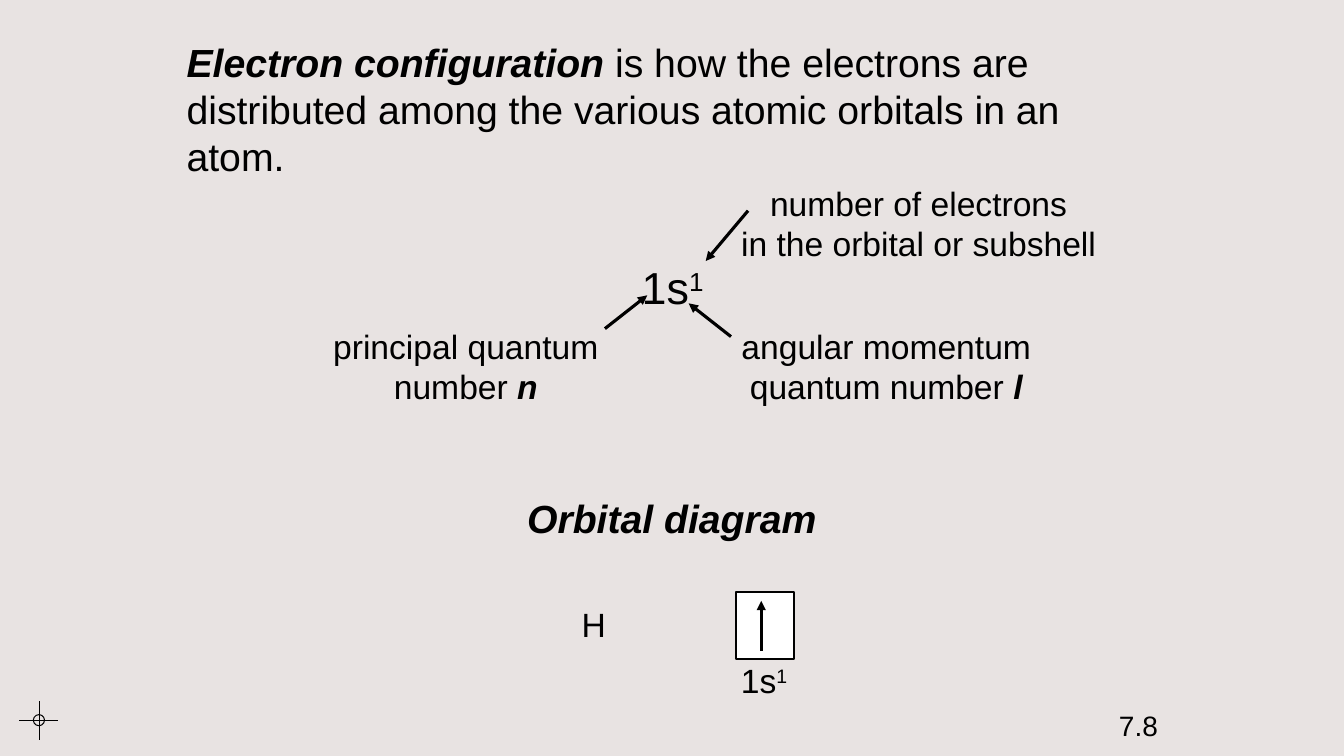
"""Build the electron configuration slide with its labelled orbital notation."""
import pptx
import pptx.dml.color
import pptx.enum.dml
import pptx.enum.shapes
import pptx.enum.text
import pptx.oxml
import pptx.oxml.ns
import pptx.util

THEME = {
    "font": "Arial",
    "ink": pptx.dml.color.RGBColor.from_string("000000"),
    "paper": pptx.dml.color.RGBColor.from_string("E8E3E2"),
    "white": pptx.dml.color.RGBColor.from_string("FFFFFF"),
    "notation": 32, "heading": 28, "label": 24, "number": 20,
    "hairline": 0.75, "frame": 1.5, "arrow": 2.25,
}
LEFT = pptx.enum.text.PP_ALIGN.LEFT
CENTER = pptx.enum.text.PP_ALIGN.CENTER
SHAPE = pptx.enum.shapes.MSO_SHAPE

deck = pptx.Presentation()
deck.slide_width = pptx.util.Inches(13.33)
deck.slide_height = pptx.util.Inches(7.5)
page = deck.slides.add_slide(deck.slide_layouts[5])
page.background.fill.solid()
page.background.fill.fore_color.rgb = THEME["paper"]


def place(left, top, width, height):
    """Turn percentages of the slide into lengths."""
    sizes = (deck.slide_width, deck.slide_height) * 2
    return [round(size * share / 100) for size, share in zip(sizes, (left, top, width, height))]


def write(box, lines, size, align, wrap=False):
    """Fill a box with lines of (text, style) runs."""
    frame = box.text_frame
    frame.word_wrap = wrap
    frame.auto_size = pptx.enum.text.MSO_AUTO_SIZE.SHAPE_TO_FIT_TEXT
    frame.vertical_anchor = pptx.enum.text.MSO_ANCHOR.TOP
    for index, runs in enumerate(lines):
        para = frame.add_paragraph() if index else frame.paragraphs[0]
        para.alignment = align
        for text, style in runs:
            span = para.add_run()
            span.text = text
            span.font.name = THEME["font"]
            span.font.size = pptx.util.Pt(THEME[size])
            span.font.color.rgb = THEME["ink"]
            span.font.bold = span.font.italic = style == "strong"
            if style == "super":
                span.font._element.set("baseline", "30000")


definition = page.shapes.title
definition.left, definition.top, definition.width, definition.height = place(13.13, 4.4, 73.74, 20)
write(definition, [[
    ("Electron configuration", "strong"),
    (" is how the electrons are distributed among the various atomic orbitals in an atom.", ""),
]], "heading", LEFT, wrap=True)

hydrogen_notation = [[("1s", ""), ("1", "super")]]
labels = [
    ((46.89, 33.73, 6.3, 8.53), hydrogen_notation, "notation", CENTER),
    ((23.93, 42.4, 21.46, 12.13),
     [[("principal quantum", "")], [("number ", ""), ("n", "strong")]], "label", CENTER),
    ((54.31, 42.4, 23.26, 12.13),
     [[("angular momentum", "")], [("quantum number ", ""), ("l", "strong")]], "label", CENTER),
    ((54.24, 23.47, 28.21, 12.13),
     [[("number of electrons", "")], [("in the orbital or subshell", "")]], "label", CENTER),
    ((38.48, 64.67, 23.11, 7.6), [[("Orbital diagram", "strong")]], "heading", LEFT),
    ((42.54, 79.2, 3.3, 6.67), [[("H", "")]], "label", LEFT),
    ((54.39, 86.67, 5.1, 6.67), hydrogen_notation, "label", LEFT),
    ((82.52, 93.07, 4.43, 5.73), [[("7.8", "")]], "number", LEFT),
]
for area, lines, size, align in labels:
    write(page.shapes.add_textbox(*place(*area)), lines, size, align)

outlines = [
    (SHAPE.RECTANGLE, (54.76, 78.27, 4.35, 8.93), "frame"),
    (SHAPE.OVAL, (2.48, 94.53, 0.83, 1.47), "hairline"),
]
for kind, area, weight in outlines:
    outline = page.shapes.add_shape(kind, *place(*area))
    outline.shadow.inherit = False
    outline.line.color.rgb = THEME["ink"]
    outline.line.width = pptx.util.Pt(THEME[weight])
    if weight == "frame":
        outline.fill.solid()
        outline.fill.fore_color.rgb = THEME["white"]
    else:
        outline.fill.background()

strokes = [
    ((1.43, 95.33, 4.35, 95.33), "hairline"),
    ((2.93, 97.87, 2.93, 92.67), "hairline"),
    ((45.01, 43.47, 48.16, 39.07), "arrow"),
    ((54.39, 44.53, 51.24, 40.13), "arrow"),
    ((55.66, 27.87, 52.51, 34.53), "arrow"),
    ((56.64, 86.13, 56.64, 79.47), "arrow"),
]
for ends, weight in strokes:
    stroke = page.shapes.add_connector(
        pptx.enum.shapes.MSO_CONNECTOR.STRAIGHT, *place(*ends))
    stroke.line.color.rgb = THEME["ink"]
    stroke.line.width = pptx.util.Pt(THEME[weight])
    if weight == "arrow":
        head = pptx.oxml.parse_xml(
            f'<a:tailEnd {pptx.oxml.ns.nsdecls("a")} type="triangle"/>')
        stroke.line._get_or_add_ln().append(head)
    stroke._element.spPr.append(
        pptx.oxml.parse_xml(f'<a:effectLst {pptx.oxml.ns.nsdecls("a")}/>'))

deck.save("out.pptx")
